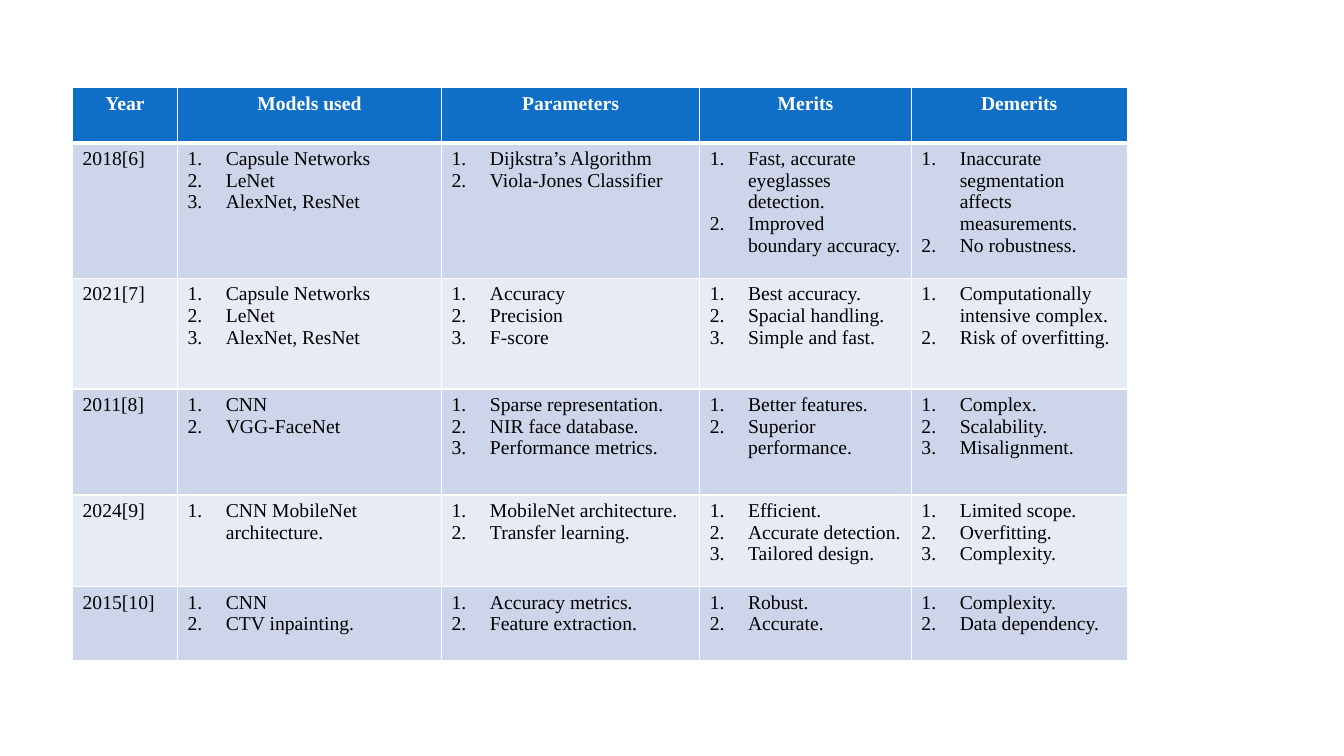
from lxml.etree import SubElement
from pptx import Presentation
from pptx.dml.color import RGBColor
from pptx.enum.text import PP_ALIGN
from pptx.oxml.ns import qn
from pptx.util import Inches, Pt

FONT = "Times New Roman"
HEADER_FILL = "0F6FC6"
BAND_FILLS = ["CCD5EA", "E7EBF5"]
COL_WIDTHS = [1.04, 2.62, 2.56, 2.1, 2.14]
ROW_HEIGHTS = [0.55, 1.34, 1.1, 1.05, 0.91, 0.73]

HEADERS = ["Year", "Models used", "Parameters", "Merits", "Demerits"]
STUDIES = [
    ("2018[6]",
     ["Capsule Networks", "LeNet", "AlexNet, ResNet"],
     ["Dijkstra’s Algorithm", "Viola-Jones Classifier"],
     ["Fast, accurate eyeglasses detection.", "Improved boundary accuracy."],
     ["Inaccurate segmentation affects measurements.", "No robustness."]),
    ("2021[7]",
     ["Capsule Networks", "LeNet", "AlexNet, ResNet"],
     ["Accuracy", "Precision", "F-score"],
     ["Best accuracy.", "Spacial handling.", "Simple and fast."],
     ["Computationally intensive complex.", "Risk of overfitting."]),
    ("2011[8]",
     ["CNN", "VGG-FaceNet"],
     ["Sparse representation.", "NIR face database.", "Performance metrics."],
     ["Better features.", "Superior performance."],
     ["Complex.", "Scalability.", "Misalignment."]),
    ("2024[9]",
     ["CNN MobileNet architecture."],
     ["MobileNet architecture.", "Transfer learning."],
     ["Efficient.", "Accurate detection.", "Tailored design."],
     ["Limited scope.", "Overfitting.", "Complexity."]),
    ("2015[10]",
     ["CNN", "CTV inpainting."],
     ["Accuracy metrics.", "Feature extraction."],
     ["Robust.", "Accurate."],
     ["Complexity.", "Data dependency."]),
]


def color(hex_code):
    return RGBColor.from_string(hex_code)


def add_run(p, text, hex_code, bold=False):
    r = p.add_run()
    r.text = text
    r.font.name = FONT
    r.font.size = Pt(14)
    r.font.bold = bold
    r.font.color.rgb = color(hex_code)


def number_paragraph(p):
    pPr = p._p.get_or_add_pPr()
    pPr.set("marL", str(Inches(0.38)))
    pPr.set("indent", str(-Inches(0.38)))
    SubElement(pPr, qn("a:buFont"), typeface="+mj-lt")
    SubElement(pPr, qn("a:buAutoNum"), type="arabicPeriod")


def style_cell(cell, fill, top=1, bottom=1):
    # Borders come before the fill in the cell properties
    tcPr = cell._tc.get_or_add_tcPr()
    for side, width in zip("LRTB", (1, 1, top, bottom)):
        ln = SubElement(tcPr, qn(f"a:ln{side}"), w=str(Pt(width)))
        solid = SubElement(ln, qn("a:solidFill"))
        SubElement(solid, qn("a:srgbClr"), val="FFFFFF")
    cell.fill.solid()
    cell.fill.fore_color.rgb = color(fill)


def fill_header_cell(cell, text):
    style_cell(cell, HEADER_FILL, bottom=3)
    p = cell.text_frame.paragraphs[0]
    p.alignment = PP_ALIGN.CENTER
    add_run(p, text, "FFFFFF", bold=True)


def fill_list_cell(cell, items):
    tf = cell.text_frame
    for i, item in enumerate(items):
        p = tf.add_paragraph() if i else tf.paragraphs[0]
        number_paragraph(p)
        add_run(p, item, "000000")


def add_study_table(s):
    frame = s.shapes.add_table(
        len(ROW_HEIGHTS), len(COL_WIDTHS), Inches(0.72), Inches(0.87),
        Inches(sum(COL_WIDTHS)), Inches(sum(ROW_HEIGHTS)))
    table = frame.table
    for col, width in zip(table.columns, COL_WIDTHS):
        col.width = Inches(width)
    for row, height in zip(table.rows, ROW_HEIGHTS):
        row.height = Inches(height)

    # Header row
    for c, header in enumerate(HEADERS):
        fill_header_cell(table.cell(0, c), header)

    # One banded row for each study
    for i, (year, *lists) in enumerate(STUDIES):
        row = i + 1
        for c in range(len(HEADERS)):
            style_cell(table.cell(row, c), BAND_FILLS[i % 2], top=1 if i else 3)
        add_run(table.cell(row, 0).text_frame.paragraphs[0], year, "000000")
        for c, items in enumerate(lists, 1):
            fill_list_cell(table.cell(row, c), items)


def main():
    prs = Presentation()
    prs.slide_width = Inches(13.33)
    prs.slide_height = Inches(7.5)
    s = prs.slides.add_slide(prs.slide_layouts[6])
    add_study_table(s)
    prs.save("out.pptx")


if __name__ == "__main__":
    main()
